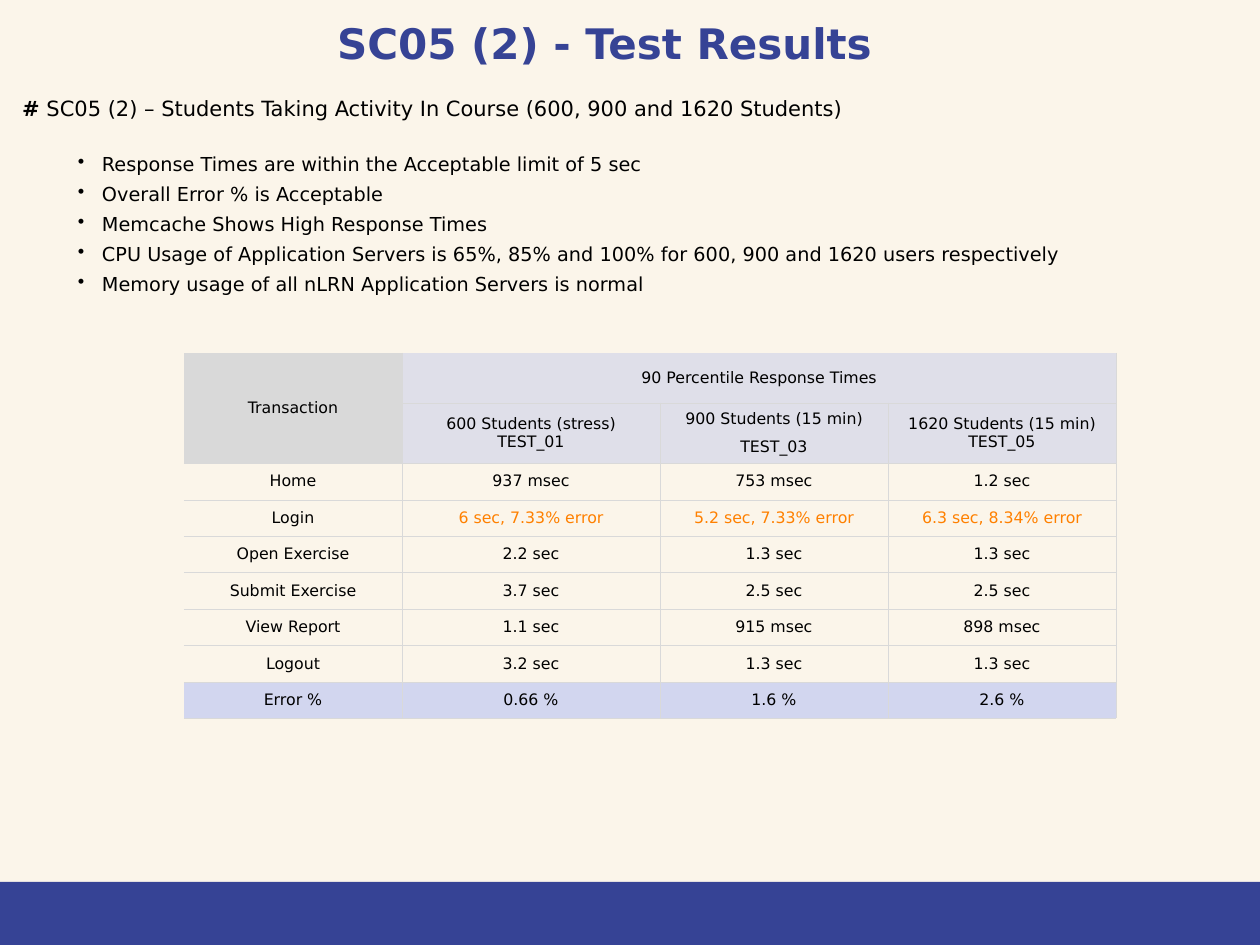
from lxml.etree import SubElement
from pptx import Presentation
from pptx.dml.color import RGBColor
from pptx.enum.shapes import MSO_SHAPE
from pptx.enum.text import MSO_ANCHOR, PP_ALIGN
from pptx.oxml.ns import qn
from pptx.util import Pt

PX = 914400 / 126
FONT = "DejaVu Sans"
COLORS = {
    "page": "FBF5EA",
    "blue": "364395",
    "text": "000000",
    "warning": "FF8000",
    "corner": "D9D9D9",
    "header": "DFDFE9",
    "total": "D2D6EF",
    "border": "D9D9D9",
}
HEADING = "SC05 (2) – Students Taking Activity In Course (600, 900 and 1620 Students)"
FINDINGS = [
    "Response Times are within the Acceptable limit of 5 sec",
    "Overall Error % is Acceptable",
    "Memcache Shows High Response Times",
    "CPU Usage of Application Servers is 65%, 85% and 100% for 600, 900 and 1620 users respectively",
    "Memory usage of all nLRN Application Servers is normal",
]
RESULTS = [
    ["Transaction", "90 Percentile Response Times", "", ""],
    ["", "600 Students (stress)\nTEST_01", "900 Students (15 min)\nTEST_03", "1620 Students (15 min)\nTEST_05"],
    ["Home", "937 msec", "753 msec", "1.2 sec"],
    ["Login", "6 sec, 7.33% error", "5.2 sec, 7.33% error", "6.3 sec, 8.34% error"],
    ["Open Exercise", "2.2 sec", "1.3 sec", "1.3 sec"],
    ["Submit Exercise", "3.7 sec", "2.5 sec", "2.5 sec"],
    ["View Report", "1.1 sec", "915 msec", "898 msec"],
    ["Logout", "3.2 sec", "1.3 sec", "1.3 sec"],
    ["Error %", "0.66 %", "1.6 %", "2.6 %"],
]
COLUMN_WIDTHS = [218, 258, 228, 228]
HEADER_HEIGHTS = [50, 60]
BODY_HEIGHT = 255


def px(*lengths):
    """Turn pixel lengths into a list of EMU."""
    return [round(length * PX) for length in lengths]


def format_runs(paragraph, size, color="text", bold=False):
    for run in paragraph.runs:
        run.font.name = FONT
        run.font.size = Pt(size)
        run.font.bold = bold
        run.font.color.rgb = RGBColor.from_string(COLORS[color])


prs = Presentation()
prs.slide_width, prs.slide_height = px(1260, 945)
slide = prs.slides.add_slide(prs.slide_layouts[6])
slide.background.fill.solid()
slide.background.fill.fore_color.rgb = RGBColor.from_string(COLORS["page"])

footer = slide.shapes.add_shape(MSO_SHAPE.RECTANGLE, *px(0, 882, 1260, 63))
footer.shadow.inherit = False
footer.fill.solid()
footer.fill.fore_color.rgb = RGBColor.from_string(COLORS["blue"])
footer.line.fill.background()

# Title and findings
title = slide.shapes.add_textbox(*px(105, 16, 1012, 59)).text_frame
findings = slide.shapes.add_textbox(*px(15, 96, 1211, 794)).text_frame
for frame in (title, findings):
    frame.word_wrap = True
    frame.margin_left = frame.margin_top = 0
    frame.margin_right, frame.margin_bottom = px(13, 6)

title.vertical_anchor = MSO_ANCHOR.MIDDLE
title.text = "SC05 (2) - Test Results"
title.paragraphs[0].alignment = PP_ALIGN.CENTER
format_runs(title.paragraphs[0], 24, "blue", bold=True)

heading = findings.paragraphs[0]
heading.alignment = PP_ALIGN.JUSTIFY
for part in (" #", " " + HEADING):
    heading.add_run().text = part
format_runs(heading, 12)
heading.runs[0].font.bold = True

bullet_margin, bullet_indent = px(87, -24)
for index, finding in enumerate(FINDINGS):
    bullet = findings.add_paragraph()
    bullet.text = finding
    bullet.level = 1
    bullet.alignment = PP_ALIGN.JUSTIFY
    bullet.line_spacing = 1.3
    bullet.space_before = Pt(14 if index == 0 else 0)
    properties = bullet._p.get_or_add_pPr()
    properties.set("marL", str(bullet_margin))
    properties.set("indent", str(bullet_indent))
    bullet_color = SubElement(properties, qn("a:buClr"))
    SubElement(bullet_color, qn("a:srgbClr"), val=COLORS["text"])
    SubElement(properties, qn("a:buChar"), char="•")
    format_runs(bullet, 11)

# Response times
row_count, column_count = len(RESULTS), len(COLUMN_WIDTHS)
table_box = px(184, 353, sum(COLUMN_WIDTHS), sum(HEADER_HEIGHTS) + BODY_HEIGHT)
table = slide.shapes.add_table(row_count, column_count, *table_box).table
table.first_row = table.horz_banding = False
for column, width in zip(table.columns, px(*COLUMN_WIDTHS)):
    column.width = width
body_rows = row_count - len(HEADER_HEIGHTS)
row_heights = HEADER_HEIGHTS + [BODY_HEIGHT / body_rows] * body_rows
for row, height in zip(table.rows, px(*row_heights)):
    row.height = height
table.cell(0, 0).merge(table.cell(1, 0))
table.cell(0, 1).merge(table.cell(0, 3))

for row_index, values in enumerate(RESULTS):
    for column_index, value in enumerate(values):
        cell = table.cell(row_index, column_index)
        cell.vertical_anchor = MSO_ANCHOR.MIDDLE
        open_sides = {"lnL": column_index == 0, "lnT": row_index == 0}
        for side in ("lnL", "lnR", "lnT", "lnB"):
            border = SubElement(cell._tc.get_or_add_tcPr(), qn(f"a:{side}"), w=str(Pt(0.11)))
            if open_sides.get(side):
                SubElement(border, qn("a:noFill"))
            else:
                border_fill = SubElement(border, qn("a:solidFill"))
                SubElement(border_fill, qn("a:srgbClr"), val=COLORS["border"])

        if row_index < len(HEADER_HEIGHTS):
            fill = "corner" if column_index == 0 else "header"
        else:
            fill = "total" if values[0] == "Error %" else None
        if fill:
            cell.fill.solid()
            cell.fill.fore_color.rgb = RGBColor.from_string(COLORS[fill])
        else:
            cell.fill.background()

        if value:
            cell.text_frame.text = value
            for paragraph in cell.text_frame.paragraphs:
                paragraph.alignment = PP_ALIGN.CENTER
                format_runs(paragraph, 9, "warning" if "error" in value else "text")

table.cell(1, 2).text_frame.paragraphs[1].space_before = Pt(5.6)

prs.save("out.pptx")
